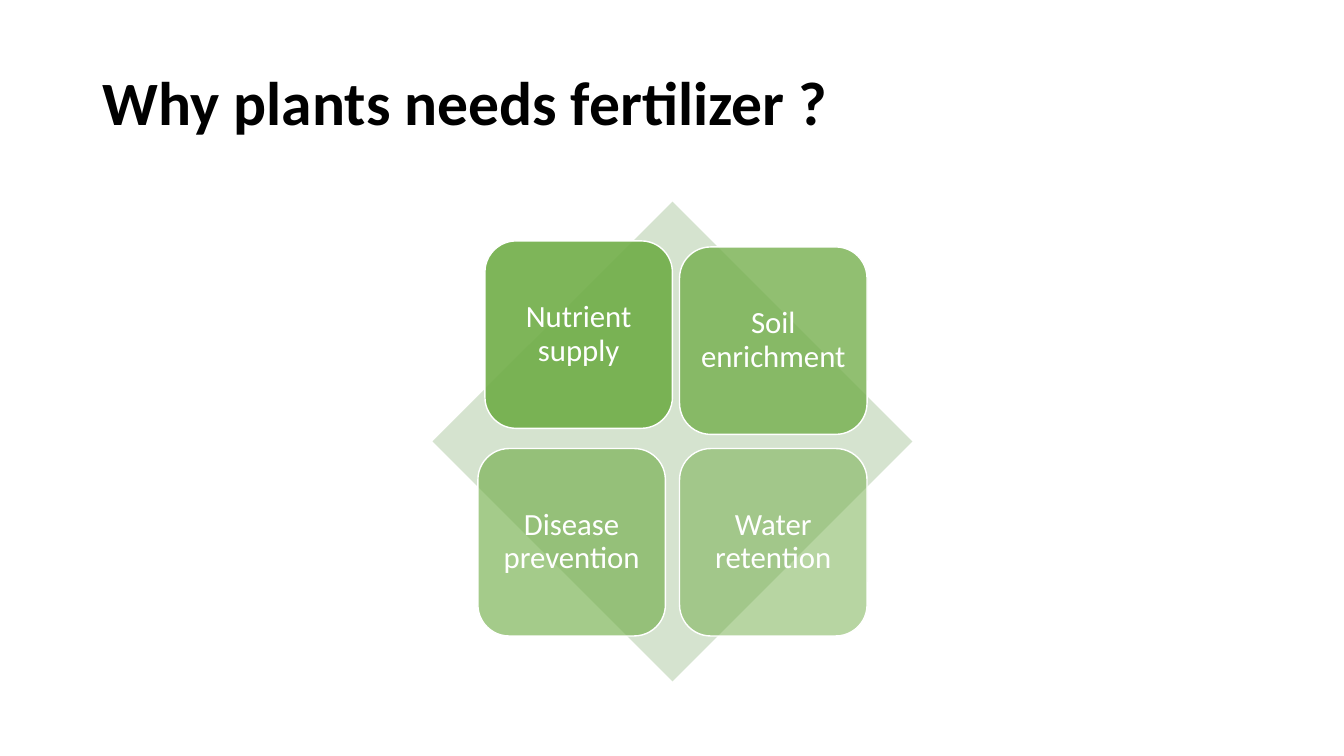
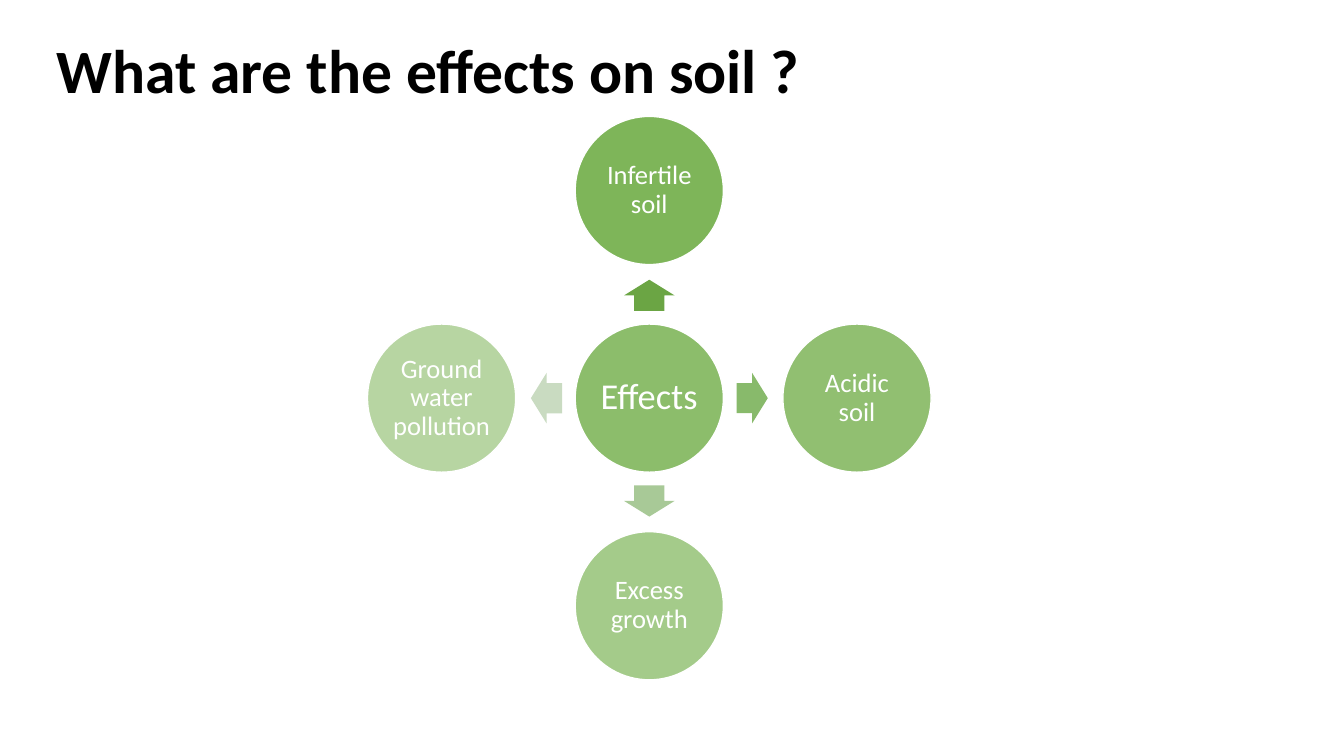
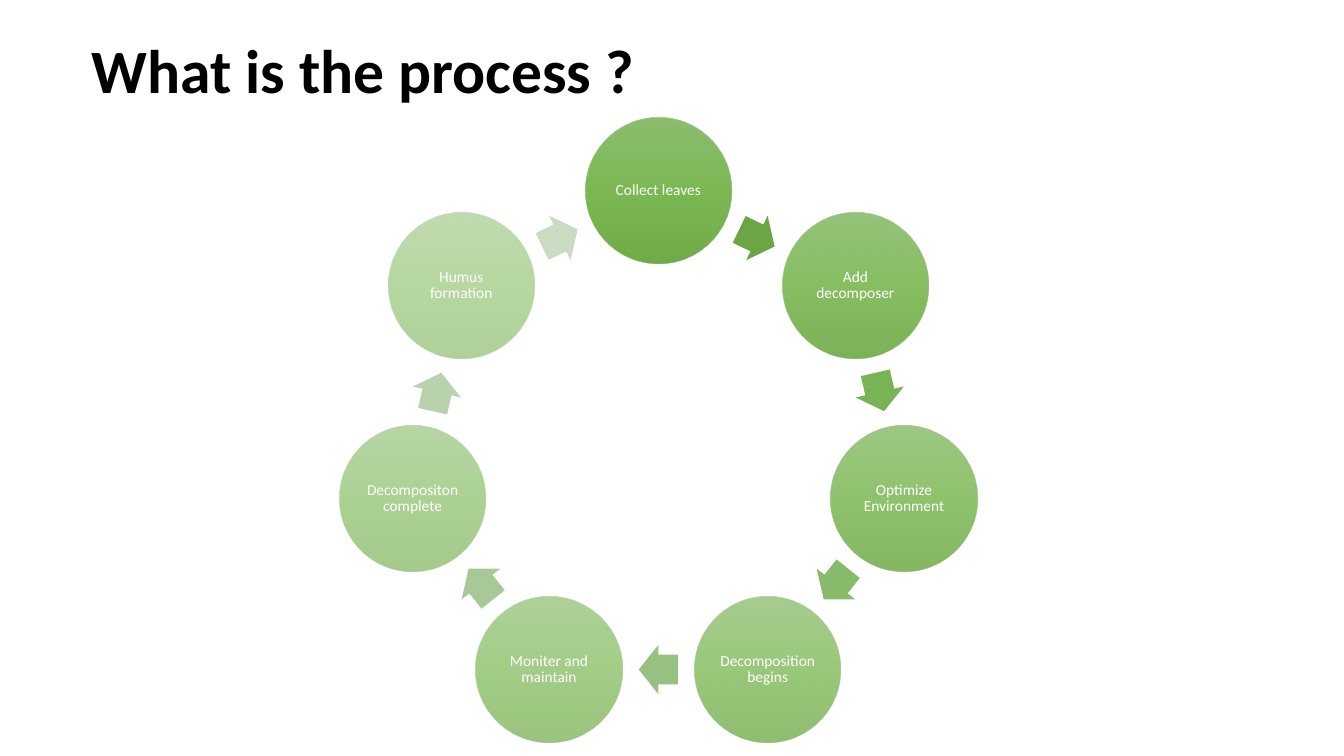
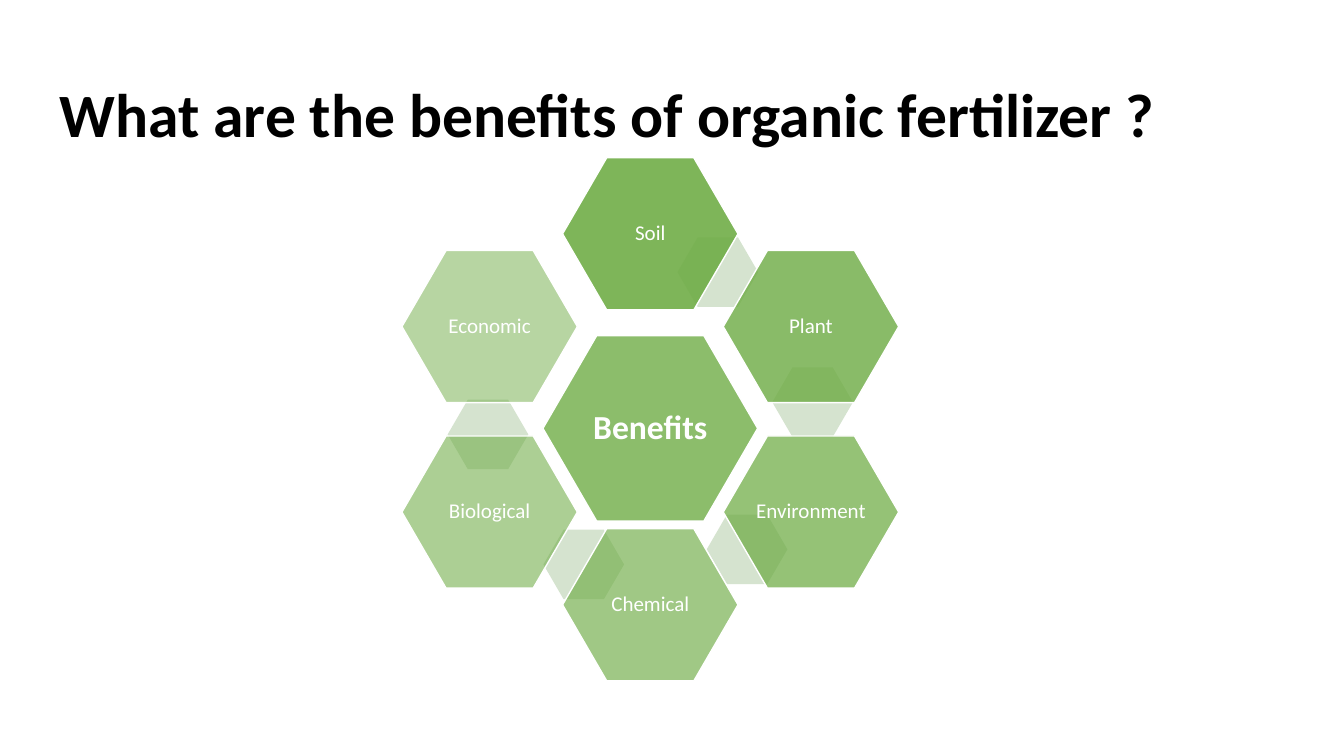
import math

import lxml.etree
import pptx
import pptx.util
from pptx.dml.color import RGBColor
from pptx.enum.shapes import MSO_SHAPE
from pptx.enum.text import MSO_ANCHOR, PP_ALIGN
from pptx.oxml.ns import qn

FONT = "Calibri"
COLORS = {"title": "000000", "white": "FFFFFF", "green": "70AD47", "pale": "D5E3CF"}
GRADIENT = [(0, "81B861"), (50, "6FB242"), (100, "62A336")]
ARROW_SHADES = ["6BA544", "78B453", "88BA6B", "98C181", "A8C997", "B8D2AD", "C9DBC1"]
HUB_OPACITY = 80

REASONS = ["Nutrient supply", "Soil enrichment", "Disease prevention", "Water retention"]
EFFECTS = ["Infertile soil", "Acidic soil", "Excess growth", "Ground water pollution"]
STEPS = ["Collect leaves", "Add decomposer", "Optimize Environment", "Decomposition begins",
         "Moniter and maintain", "Decompositon complete", "Humus formation"]
BENEFITS = ["Soil", "Plant", "Environment", "Chemical", "Biological", "Economic"]
LINK_OFFSETS = [(0.67, -1.46), (1.61, -0.17), (0.96, 1.29), (-0.66, 1.44), (-1.61, 0.15)]


def inches(*lengths):
    return [pptx.util.Inches(length) for length in lengths]


def style_run(run, size, color, bold=False):
    run.font.name, run.font.size, run.font.bold = FONT, pptx.util.Pt(size), bold
    run.font.color.rgb = RGBColor.from_string(COLORS[color])


def add_titled_slide(deck, text, left, top):
    slide = deck.slides.add_slide(deck.slide_layouts[5])
    title = slide.shapes.title
    title.left, title.top, title.width, title.height = inches(left, top, 11.5, 1.45)
    title.text_frame.text = text
    title.text_frame.vertical_anchor = MSO_ANCHOR.MIDDLE
    para = title.text_frame.paragraphs[0]
    para.alignment, para.line_spacing = PP_ALIGN.LEFT, 0.9
    style_run(para.runs[0], 44, "title", bold=True)
    return slide


def add_alpha(color_element, opacity):
    alpha = lxml.etree.SubElement(color_element, qn("a:alpha"))
    alpha.set("val", str(opacity * 1000))


def add_centred(slide, kind, center, width, height, color, adjustments=(), rotation=0):
    """Add a plain filled shape around its center point."""
    shape = slide.shapes.add_shape(
        kind, *inches(center[0] - width / 2, center[1] - height / 2, width, height))
    shape.shadow.inherit = False
    shape.rotation = rotation
    for index, value in enumerate(adjustments):
        shape.adjustments[index] = value
    shape.fill.solid()
    shape.fill.fore_color.rgb = RGBColor.from_string(color)
    shape.line.fill.background()
    return shape


def add_outline(shape):
    shape.line.color.rgb = RGBColor.from_string(COLORS["white"])
    shape.line.width = pptx.util.Pt(1)


def fill_gradient(shape, opacity):
    shape.fill.gradient()
    shape.fill.gradient_angle = 270
    stops = shape._element.spPr.find(qn("a:gradFill")).find(qn("a:gsLst"))
    for stop in list(stops):
        stops.remove(stop)
    for position, color in GRADIENT:
        stop = lxml.etree.SubElement(stops, qn("a:gs"), pos=str(position * 1000))
        add_alpha(lxml.etree.SubElement(stop, qn("a:srgbClr"), val=color), opacity)


def add_node(slide, kind, center, width, height, text, size, opacity, inset,
             adjustments=(), bold=False, gradient=False):
    """Add a translucent green shape with a white label."""
    node = add_centred(slide, kind, center, width, height, COLORS["green"], adjustments)
    if gradient:
        fill_gradient(node, opacity)
    else:
        add_alpha(node._element.spPr.find(qn("a:solidFill"))[0], opacity)
        add_outline(node)
    frame = node.text_frame
    frame.text = text
    frame.word_wrap = " " in text
    frame.vertical_anchor = MSO_ANCHOR.MIDDLE
    frame.margin_left, frame.margin_top, frame.margin_right, frame.margin_bottom = inches(*[inset] * 4)
    para = frame.paragraphs[0]
    para.alignment, para.line_spacing = PP_ALIGN.CENTER, 0.9
    style_run(para.runs[0], size, "white", bold)


def add_arrow(slide, center, width, height, color, rotation):
    add_centred(slide, MSO_SHAPE.RIGHT_ARROW, center, width, height, color, (0.6, 0.5), rotation)


def fading(labels):
    """Pair each label with its opacity, which falls evenly from 90 to 50."""
    return [(label, round(90 - 40 * index / (len(labels) - 1)))
            for index, label in enumerate(labels)]


def polar(center, radius, angle):
    """Point on a circle; the angle runs clockwise from the top, in degrees."""
    turn = math.radians(angle)
    return center[0] + radius * math.sin(turn), center[1] - radius * math.cos(turn)


def build_reasons(deck):
    slide = add_titled_slide(deck, "Why plants needs fertilizer ?", 0.92, 0.32)
    center, pitch, side = (6.67, 4.38), 2, 1.86
    add_centred(slide, MSO_SHAPE.DIAMOND, center, 4.76, 4.76, COLORS["pale"])
    for index, (label, opacity) in enumerate(fading(REASONS)):
        row, column = divmod(index, 2)
        nudge = (0.07, -0.06) if index == 0 else (0, 0)
        spot = (center[0] + (column - 0.5) * pitch + nudge[0],
                center[1] + (row - 0.5) * pitch + nudge[1])
        add_node(slide, MSO_SHAPE.ROUNDED_RECTANGLE, spot, side, side, label, 22, opacity, 0.09)


def build_effects(deck):
    slide = add_titled_slide(deck, "What are the effects on soil ?", 0.46, 0)
    center, radius, side = (6.44, 3.95), 2.06, 1.47
    add_node(slide, MSO_SHAPE.OVAL, center, side, side, "Effects", 26, HUB_OPACITY, 0.04)
    for index, (label, opacity) in enumerate(fading(EFFECTS)):
        angle = 90 * index
        add_arrow(slide, polar(center, 1.02, angle), 0.31, 0.5,
                  ARROW_SHADES[2 * index], (angle - 90) % 360)
        add_node(slide, MSO_SHAPE.OVAL, polar(center, radius, angle), side, side,
                 label, 19, opacity, 0.03)


def build_process(deck):
    slide = add_titled_slide(deck, "What is the process ?", 0.81, 0)
    center, radius, side = (6.53, 4.39), 2.5, 1.45
    step = 360 / len(STEPS)
    arrow_radius = radius * math.cos(math.radians(step / 2))
    for index, (label, opacity) in enumerate(fading(STEPS)):
        angle = step * index
        add_node(slide, MSO_SHAPE.OVAL, polar(center, radius, angle), side, side,
                 label, 11, opacity, 0.02, gradient=True)
        middle = angle + step / 2
        add_arrow(slide, polar(center, arrow_radius, middle), 0.39, 0.49,
                  ARROW_SHADES[index], middle)


def build_benefits(deck):
    slide = add_titled_slide(deck, "What are the benefits of organic fertilizer ?", 0.49, 0.44)
    center, radius, slant = (6.45, 4.16), 1.84, (0.29,)
    add_node(slide, MSO_SHAPE.HEXAGON, (center[0], 4.25), 2.13, 1.84, "Benefits", 24,
             HUB_OPACITY, 0.03, slant, bold=True)
    for across, down in LINK_OFFSETS:
        add_centred(slide, MSO_SHAPE.HEXAGON, (center[0] + across, center[1] + down),
                    0.8, 0.69, COLORS["pale"], slant)
    for index, (label, opacity) in enumerate(fading(BENEFITS)):
        add_node(slide, MSO_SHAPE.HEXAGON, polar(center, radius, 60 * index), 1.74, 1.51,
                 label, 15, opacity, 0.02, slant)


def main():
    deck = pptx.Presentation()
    deck.slide_width, deck.slide_height = inches(13.33, 7.5)
    for build in (build_reasons, build_effects, build_process, build_benefits):
        build(deck)
    deck.save("out.pptx")


if __name__ == "__main__":
    main()
